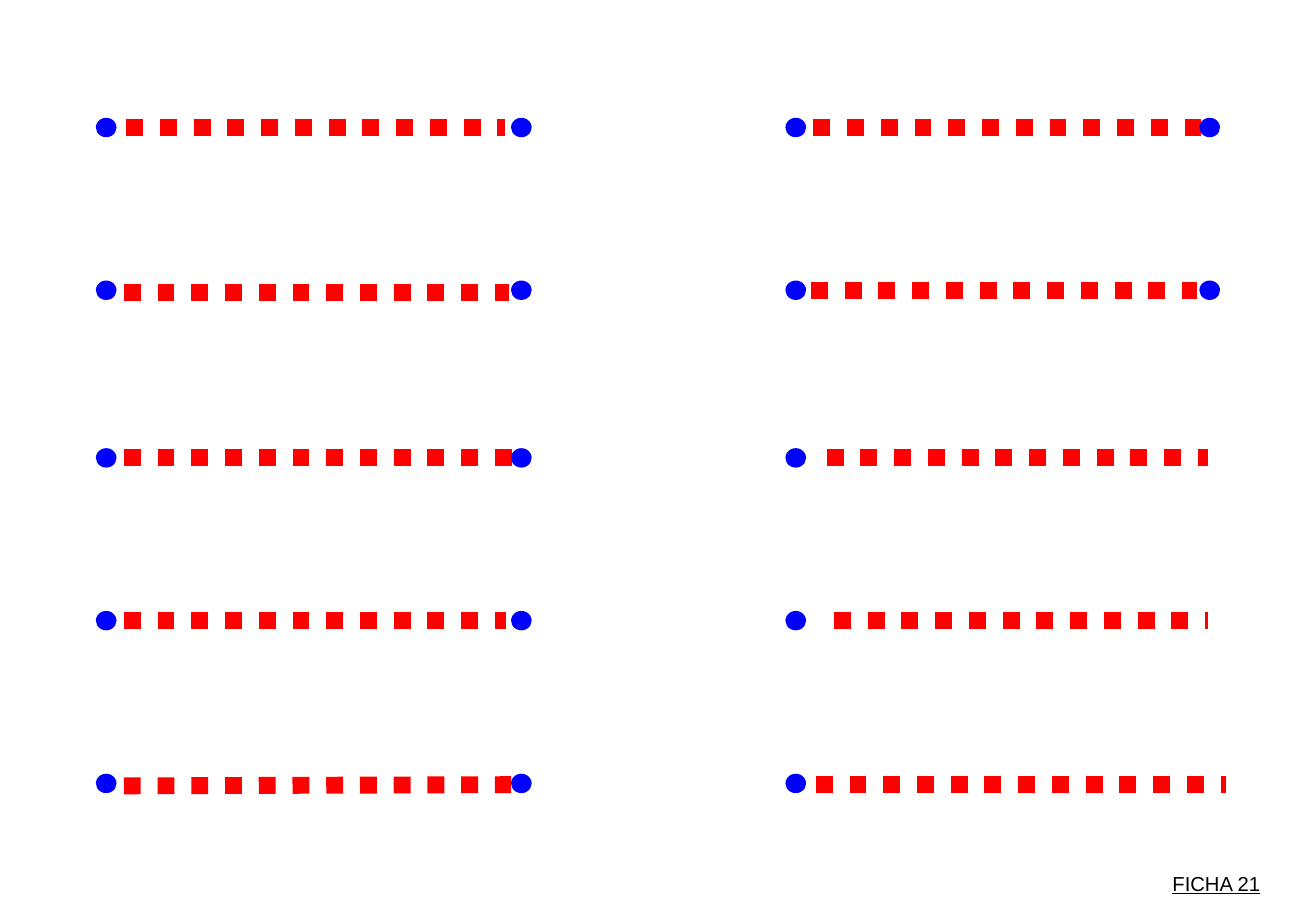
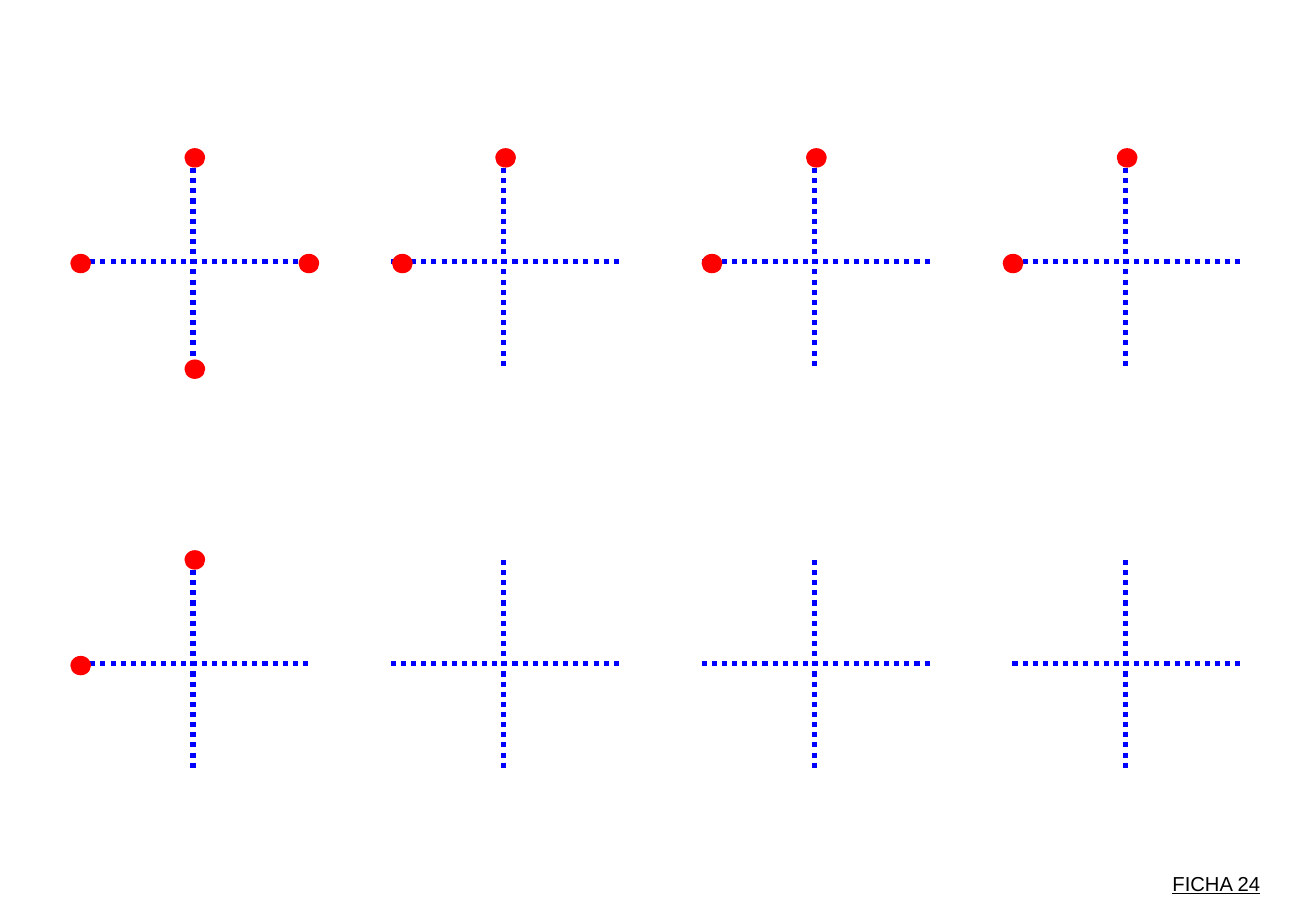
from lxml.etree import SubElement
from pptx import Presentation
from pptx.dml.color import RGBColor
from pptx.enum.dml import MSO_LINE
from pptx.enum.shapes import MSO_CONNECTOR, MSO_SHAPE
from pptx.enum.text import MSO_AUTO_SIZE
from pptx.oxml.ns import qn
from pptx.util import Inches, Pt

BLUE, RED, BLACK = "0000FF", "FF0000", "000000"
LABEL_FONT = {"name": "Arial", "size": Pt(12), "underline": True}
LABEL_FRAME = {"word_wrap": True, "auto_size": MSO_AUTO_SIZE.SHAPE_TO_FIT_TEXT}
DOT_WIDTH, DOT_HEIGHT = 0.17, 0.16

DOT_TOPS = [0.97, 2.31, 3.69, 5.03, 6.37]
LEFT_STROKES = [
    (1.04, 1.05, 4.16, 1.05),
    (1.02, 2.41, 4.19, 2.41),
    (1.02, 3.77, 4.23, 3.77),
    (1.02, 5.11, 4.17, 5.11),
    (1.02, 6.47, 4.21, 6.46),
]
RIGHT_STROKES = [
    (6.7, 1.05, 9.91, 1.05),
    (6.68, 2.39, 9.86, 2.39),
    (6.81, 3.77, 9.95, 3.77),
    (6.87, 5.11, 9.95, 5.11),
    (6.72, 6.46, 10.1, 6.46),
]

CROSS_LEFT, CROSS_PITCH = 0.66, 2.56
CROSS_WIDTH, CROSS_HEIGHT = 1.88, 1.73
CROSS_TOPS = [1.3, 4.61]
TOP_DOT, BOTTOM_DOT, RIGHT_DOT = (0.86, -0.08), (0.86, 1.66), (1.8, 0.79)
LEFT_DOT = (-0.08, 0.79)
CROSS_DOTS = [
    [
        [LEFT_DOT, RIGHT_DOT, TOP_DOT, BOTTOM_DOT],
        [(0.01, 0.79), TOP_DOT],
        [(0, 0.79), TOP_DOT],
        [LEFT_DOT, TOP_DOT],
    ],
    [[LEFT_DOT, TOP_DOT], [], [], []],
]


def color(value):
    return RGBColor.from_string(value)


def apply_format(target, values):
    for name, value in values.items():
        setattr(target, name, value)


def add_dotted_line(shapes, ends, line_color, width):
    connector = shapes.add_connector(
        MSO_CONNECTOR.STRAIGHT, *[Inches(value) for value in ends]
    )
    connector.line.color.rgb = color(line_color)
    apply_format(
        connector.line, {"width": Pt(width), "dash_style": MSO_LINE.ROUND_DOT}
    )
    SubElement(connector._element.spPr, qn("a:effectLst"))


def add_dot(shapes, left, top, fill_color):
    box = (left, top, DOT_WIDTH, DOT_HEIGHT)
    shape = shapes.add_shape(MSO_SHAPE.OVAL, *[Inches(value) for value in box])
    shape.shadow.inherit = False
    shape.fill.solid()
    shape.fill.fore_color.rgb = color(fill_color)
    shape.line.fill.background()


def add_sheet(presentation, label):
    slide = presentation.slides.add_slide(presentation.slide_layouts[6])
    box = (9.56, 7.12, 1.27, 0.3)
    text_box = slide.shapes.add_textbox(*[Inches(value) for value in box])
    apply_format(text_box.text_frame, LABEL_FRAME)
    paragraph = text_box.text_frame.paragraphs[0]
    run = paragraph.add_run()
    run.text = label
    apply_format(run.font, LABEL_FONT)
    run.font.color.rgb = color(BLACK)
    return slide


def add_stroke_column(shapes, strokes, start_left, end_left, end_count):
    for stroke in strokes:
        add_dotted_line(shapes, stroke, RED, 10)
    for top in DOT_TOPS:
        add_dot(shapes, start_left, top, BLUE)
    for top in DOT_TOPS[:end_count]:
        add_dot(shapes, end_left, top, BLUE)


def add_cross(shapes, left, top, dots):
    lines = shapes.add_group_shape().shapes
    middle_x, middle_y = left + 0.93, top + 0.85
    horizontal = (left, middle_y, left + CROSS_WIDTH, middle_y)
    vertical = (middle_x, top, middle_x, top + CROSS_HEIGHT)
    for ends in (horizontal, vertical):
        add_dotted_line(lines, ends, BLUE, 3)
    for offset_x, offset_y in dots:
        add_dot(shapes, left + offset_x, top + offset_y, RED)


def main():
    presentation = Presentation()
    apply_format(
        presentation, {"slide_width": Inches(10.84), "slide_height": Inches(7.5)}
    )

    strokes_slide = add_sheet(presentation, "FICHA 21")
    add_stroke_column(strokes_slide.shapes, LEFT_STROKES, 0.79, 4.21, 5)
    add_stroke_column(strokes_slide.shapes, RIGHT_STROKES, 6.47, 9.88, 2)

    crosses_slide = add_sheet(presentation, "FICHA 24")
    for top, row in zip(CROSS_TOPS, CROSS_DOTS):
        for column, dots in enumerate(row):
            left = CROSS_LEFT + column * CROSS_PITCH
            add_cross(crosses_slide.shapes, left, top, dots)

    presentation.save("out.pptx")


if __name__ == "__main__":
    main()
